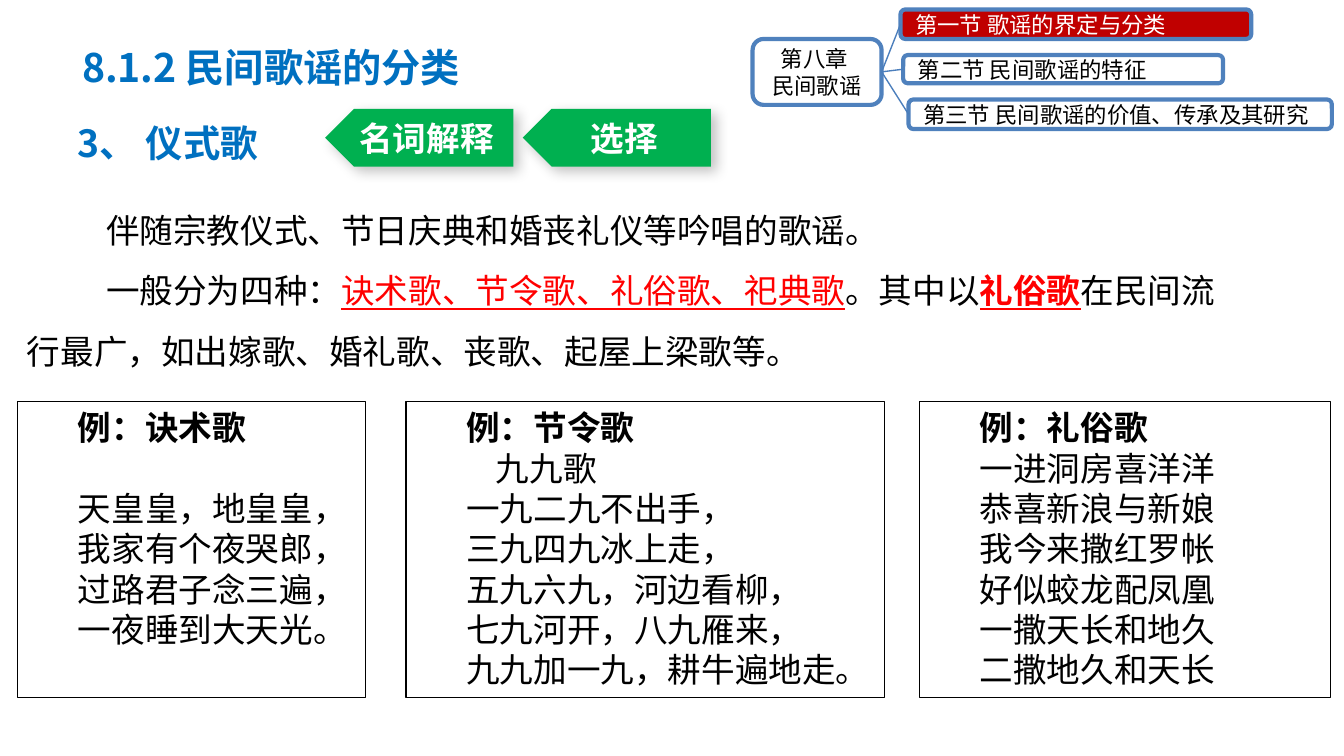
from lxml import etree
from pptx import Presentation
from pptx import util as u
from pptx.dml.color import RGBColor
from pptx.enum import shapes, text
from pptx.oxml import ns

FONT = "Noto Sans CJK SC"
BLACK, WHITE, RED = "000000", "FFFFFF", "FF0000"
BLUE, GREEN, DARK_RED = "0070C0", "00B050", "C00000"
FRAME_BLUE, LINK_BLUE = "4F81BD", "4B7EBC"
LINE_RATIO = 1.2
TEXT_INSETS = (0.07, 0.04, 0.07, 0.04)
NAV_INSETS = (0.1, 0, 0.1, 0)


def color(value):
    return RGBColor.from_string(value)


def add_xml(parent, tag, **attributes):
    return etree.SubElement(parent, ns.qn(tag), attributes)


def place(box, at):
    for name, value in zip(("left", "top", "width", "height"), at):
        setattr(box, name, u.Inches(value))


def style_frame(box, insets=TEXT_INSETS, anchor=text.MSO_ANCHOR.TOP):
    frame = box.text_frame
    sides = zip(("margin_left", "margin_top", "margin_right", "margin_bottom"), insets)
    formats = {name: u.Inches(value) for name, value in sides}
    formats |= {"word_wrap": True, "auto_size": text.MSO_AUTO_SIZE.NONE,
                "vertical_anchor": anchor}
    for name, value in formats.items():
        setattr(frame, name, value)


def color_underline(span, ink):
    properties = span.font._element
    underline = add_xml(properties, "a:uFill")
    add_xml(add_xml(underline, "a:solidFill"), "a:srgbClr", val=ink)
    properties.find(ns.qn("a:latin")).addprevious(underline)


def add_span(para, words, size, ink=BLACK, **formats):
    span = para.add_run()
    span.text = words
    formats = {"name": FONT, "size": u.Pt(size), "bold": False} | formats
    for name, value in formats.items():
        setattr(span.font, name, value)
    span.font.color.rgb = color(ink)
    if span.font.underline:
        color_underline(span, ink)
    add_xml(span.font._element, "a:ea", typeface=FONT)


def write(box, paragraphs, size, ink=BLACK, spacing=1, indent=0,
          align=text.PP_ALIGN.LEFT):
    """Fill a box from lists of (words, font formats) spans, one list a paragraph."""
    frame = box.text_frame
    for index, spans in enumerate(paragraphs):
        para = frame.paragraphs[0] if index == 0 else frame.add_paragraph()
        properties = para._p.get_or_add_pPr()
        properties.set("marL", "0")
        properties.set("indent", str(u.Inches(indent)))
        formats = {"alignment": align, "space_before": u.Pt(0), "space_after": u.Pt(0),
                   "line_spacing": u.Pt(round(size * LINE_RATIO * spacing, 1))}
        for name, value in formats.items():
            setattr(para, name, value)
        add_xml(properties, "a:buNone")
        for words, font in spans:
            add_span(para, words, size, **({"ink": ink} | font))


def add_box(page, kind, at, fill=None, line=None, weight=0.75):
    box = page.shapes.add_shape(kind, *map(u.Inches, at))
    box.shadow.inherit = False
    if fill:
        box.fill.solid()
        box.fill.fore_color.rgb = color(fill)
    else:
        box.fill.background()
    if line:
        box.line.color.rgb = color(line)
        box.line.width = u.Pt(weight)
    else:
        box.line.fill.background()
    return box


def add_tag(page, left, words):
    """Green arrow-shaped tag that points left and casts a soft shadow."""
    tag = add_box(page, shapes.MSO_SHAPE.PENTAGON, (left, 0.81, 1.4, 0.43), GREEN)
    properties = tag._element.spPr
    properties.find(ns.qn("a:xfrm")).set("flipH", "1")
    shadow = add_xml(properties.find(ns.qn("a:effectLst")), "a:outerShdw",
                     blurRad=str(u.Pt(7)), dist=str(u.Pt(4)), dir=str(45 * 60000),
                     algn="tl", rotWithShape="0")
    add_xml(add_xml(shadow, "a:srgbClr", val=BLACK), "a:alpha", val="24000")
    style_frame(tag, anchor=text.MSO_ANCHOR.MIDDLE)
    write(tag, [[(words, {"bold": True})]], 18, WHITE, align=text.PP_ALIGN.CENTER)


def add_nav_box(page, at, lines, fill=None, ink=BLACK, align=text.PP_ALIGN.LEFT):
    box = add_box(page, shapes.MSO_SHAPE.ROUNDED_RECTANGLE, at, fill, FRAME_BLUE, 2.25)
    style_frame(box, NAV_INSETS, text.MSO_ANCHOR.MIDDLE)
    write(box, [[(line, {})] for line in lines], 12, ink, align=align)
    return box


def add_link(page, start, end):
    link = page.shapes.add_connector(shapes.MSO_CONNECTOR.STRAIGHT, 0, 0, 0, 0)
    link.begin_connect(start, 3)
    link.end_connect(end, 1)
    link.line.color.rgb = color(LINK_BLUE)
    link.line.width = u.Pt(0.75)
    add_xml(link._element.spPr, "a:effectLst")


def add_chapter_map(page):
    chapter = add_nav_box(page, (5.6, 0.29, 0.96, 0.49), ["第八章 ", "民间歌谣"],
                          align=text.PP_ALIGN.CENTER)
    sections = [
        ((6.7, 0.07, 2.61, 0.22), "第一节 歌谣的界定与分类", DARK_RED, WHITE),
        ((6.72, 0.41, 2.38, 0.21), "第二节 民间歌谣的特征", None, BLACK),
        ((6.76, 0.74, 3.15, 0.22), "第三节 民间歌谣的价值、传承及其研究", None, BLACK),
    ]
    for at, words, fill, ink in sections:
        add_link(page, chapter, add_nav_box(page, at, [words], fill, ink))


def add_example(page, left, width, heading, verses):
    box = add_box(page, shapes.MSO_SHAPE.RECTANGLE, (left, 2.99, width, 2.2), line=BLACK)
    style_frame(box)
    lines = [[(heading, {"bold": True})]] + [[(verse, {})] for verse in verses]
    write(box, lines, 18, indent=0.38)
    return box.text_frame.paragraphs


def add_examples(page):
    charm = add_example(page, 0.13, 2.59, "例：诀术歌", [
        "天皇皇，地皇皇，", "我家有个夜哭郎，", "过路君子念三遍，", "一夜睡到大天光。"])
    charm[1].space_before = charm[1].line_spacing
    add_example(page, 6.84, 3.06, "例：礼俗歌", [
        "一进洞房喜洋洋", "恭喜新浪与新娘", "我今来撒红罗帐", "好似蛟龙配凤凰",
        "一撒天长和地久", "二撒地久和天长"])
    season = add_example(page, 3.02, 3.56, "例：节令歌", [
        "九九歌", "一九二九不出手，", "三九四九冰上走，", "五九六九，河边看柳，",
        "七九河开，八九雁来，", "九九加一九，耕牛遍地走。"])
    season[1]._p.pPr.set("indent", str(u.Inches(0.6)))


def add_heading(box, at, words, size, indent=0):
    place(box, at)
    style_frame(box)
    write(box, [[(words, {"bold": True})]], size, BLUE, 1.5, indent)


def add_body(box):
    place(box, (0.13, 1.37, 9.17, 1.44))
    style_frame(box)
    key = {"ink": RED, "underline": True}
    write(box, [
        [("伴随宗教仪式、节日庆典和婚丧礼仪等吟唱的歌谣。", {})],
        [("一般分为四种：", {}),
         ("诀术歌、节令歌、礼俗歌、祀典歌", key),
         ("。其中以", {}),
         ("礼俗歌", key | {"bold": True}),
         ("在民间流行最广，如出嫁歌、婚礼歌、丧歌、起屋上梁歌等。", {})],
    ], 18, spacing=1.5, indent=0.59)


def main():
    deck = Presentation()
    deck.slide_width = u.Inches(10)
    deck.slide_height = u.Inches(10 * 9 / 16)
    page = deck.slides.add_slide(deck.slide_layouts[1])
    add_heading(page.shapes.title, (0.54, 0.11, 4.17, 0.61), "8.1.2 民间歌谣的分类", 21)
    add_body(page.placeholders[1])
    subtitle = page.shapes.add_textbox(0, 0, 0, 0)
    add_heading(subtitle, (0.13, 0.69, 2.56, 0.58), "3、 仪式歌", 20, 0.38)
    add_examples(page)
    add_tag(page, 2.42, "名词解释")
    add_tag(page, 3.89, "选择")
    add_chapter_map(page)
    deck.save("out.pptx")


if __name__ == "__main__":
    main()
